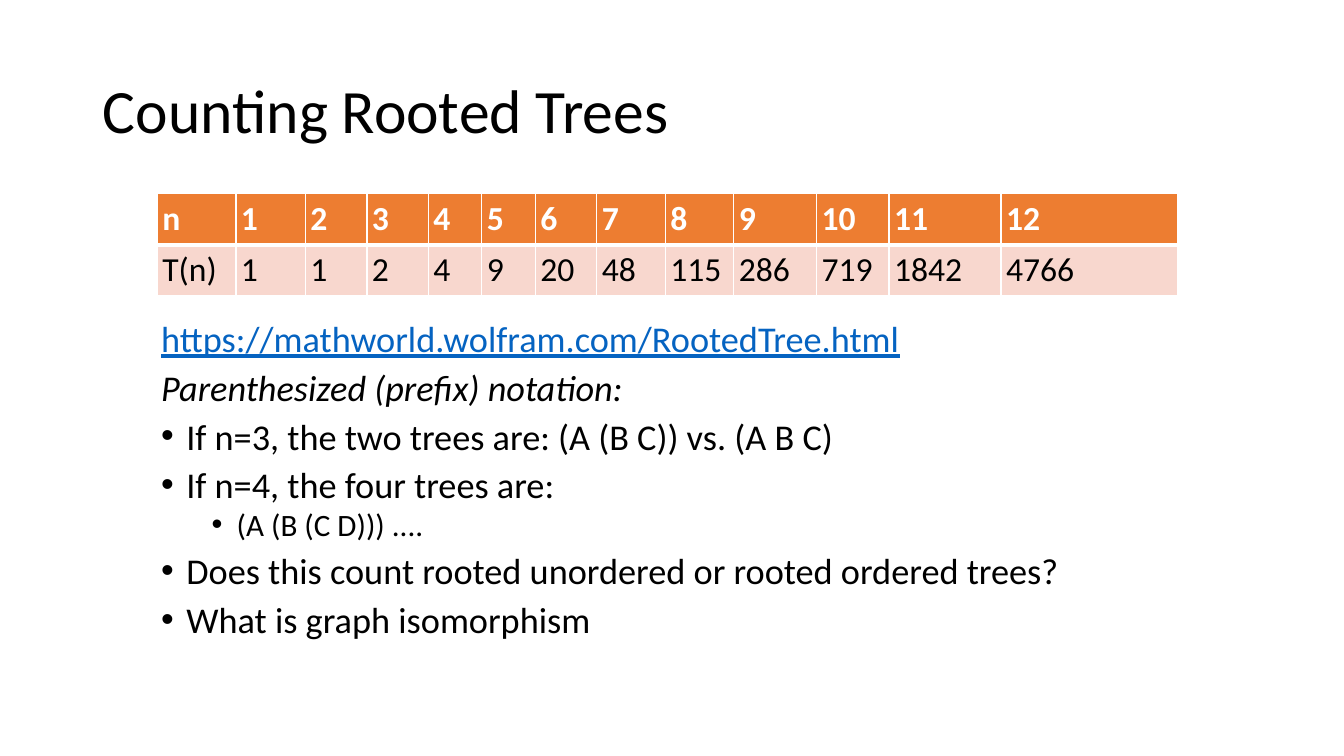
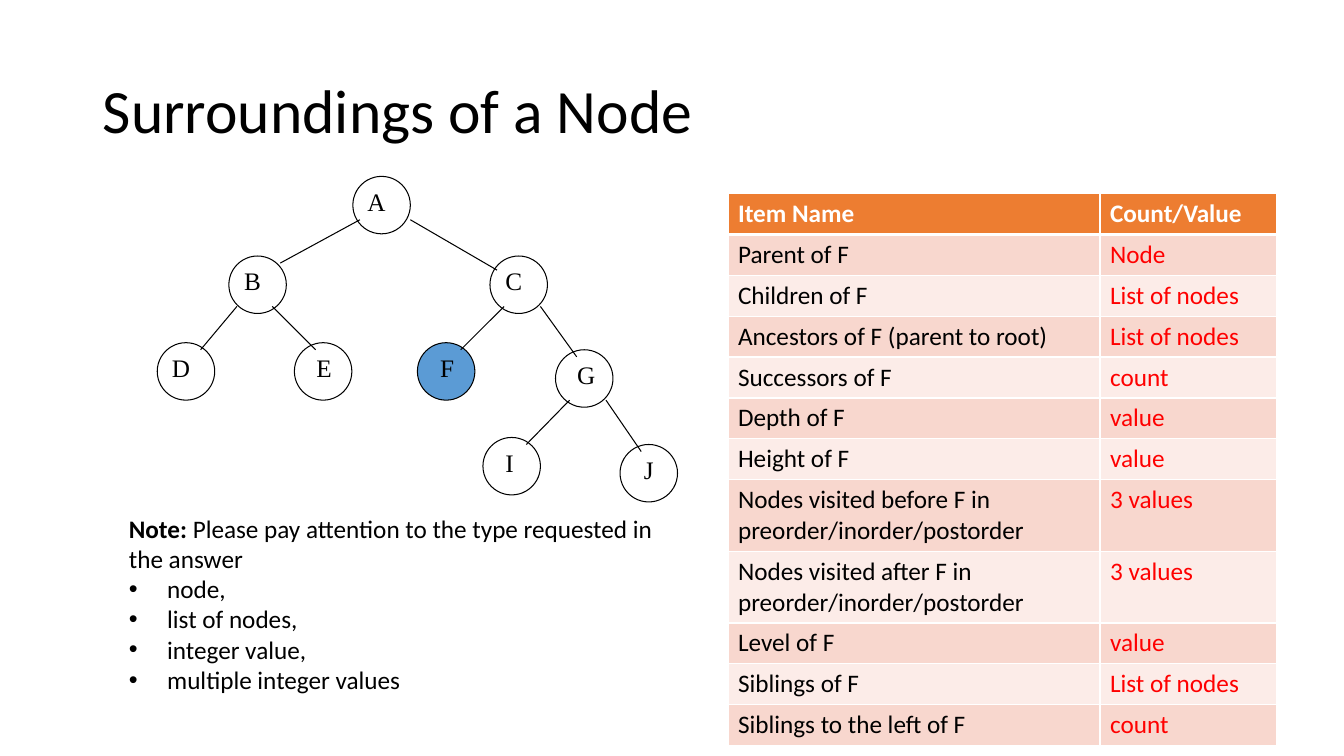
from dataclasses import dataclass
from typing import Any, Sequence

from lxml import etree
from pptx import Presentation
from pptx.dml.color import RGBColor
from pptx.enum.shapes import MSO_CONNECTOR, MSO_SHAPE
from pptx.enum.text import MSO_ANCHOR, MSO_AUTO_SIZE, PP_ALIGN
from pptx.oxml.ns import qn
from pptx.util import Inches, Pt

LEFT, CENTER = PP_ALIGN.LEFT, PP_ALIGN.CENTER
TOP, MIDDLE = MSO_ANCHOR.TOP, MSO_ANCHOR.MIDDLE
NO_AUTOFIT = MSO_AUTO_SIZE.NONE
OVAL, STRAIGHT = MSO_SHAPE.OVAL, MSO_CONNECTOR.STRAIGHT

COLORS = {
    "text": "000000",
    "white": "FFFFFF",
    "header": "ED7D31",
    "band_dark": "F8D7CE",
    "band_light": "FCECE8",
    "answer": "FF0000",
    "address": "0563C1",
    "highlight": "5B9BD5",
}
BODY_FONT, NODE_FONT = "Calibri", "Times New Roman"
TITLE_ONLY = 5
NODE_SIZE = 0.57
LABEL_RISE = 0.04

Point = tuple[float, float]


@dataclass(frozen=True)
class TextRun:
    text: str
    size: float = 18
    color: str = "text"
    bold: bool = False
    italic: bool = False
    underline: bool = False
    font: str = BODY_FONT


@dataclass(frozen=True)
class TextLine:
    runs: tuple[TextRun, ...]
    indent: float = 0
    hanging: float = 0
    level: int = 0
    space_before: float = 0
    line_spacing: float = 1.0


@dataclass(frozen=True)
class TreeNode:
    name: str
    left: float
    top: float
    label_shift: float = 0
    fill: str | None = None


@dataclass(frozen=True)
class TreeEdge:
    """Link between two nodes; start and end are offsets from each node's corner."""
    parent: str
    child: str
    start: Point
    end: Point


LEFT_EXIT, LEFT_ENTRY = (0.14, 0.5), (0.43, 0.07)
RIGHT_EXIT, RIGHT_ENTRY = (0.5, 0.5), (0.21, 0.07)

TREE_NODES = [
    TreeNode("A", 3.5, 1.75, -0.05),
    TreeNode("B", 2.27, 2.54, -0.05),
    TreeNode("C", 4.86, 2.54, -0.05),
    TreeNode("D", 1.56, 3.4, -0.05),
    TreeNode("E", 2.92, 3.4, 0.01),
    TreeNode("F", 4.14, 3.4, 0.01, "highlight"),
    TreeNode("G", 5.51, 3.47, 0.02),
    TreeNode("I", 4.79, 4.34, -0.02),
    TreeNode("J", 6.15, 4.41),
]
TREE_EDGES = [
    TreeEdge("A", "B", (0.07, 0.43), (0.51, 0.07)),
    TreeEdge("A", "C", (0.57, 0.43), (0.07, 0.14)),
    TreeEdge("B", "D", (0.08, 0.5), LEFT_ENTRY),
    TreeEdge("B", "E", (0.43, 0.5), RIGHT_ENTRY),
    TreeEdge("C", "F", LEFT_EXIT, LEFT_ENTRY),
    TreeEdge("C", "G", RIGHT_EXIT, RIGHT_ENTRY),
    TreeEdge("G", "I", LEFT_EXIT, LEFT_ENTRY),
    TreeEdge("G", "J", RIGHT_EXIT, RIGHT_ENTRY),
]

TREE_COUNTS = [
    ["n", *(str(n) for n in range(1, 13))],
    ["T(n)", "1", "1", "2", "4", "9", "20", "48", "115", "286", "719", "1842", "4766"],
]
COUNT_WIDTHS = [0.78, 0.69, 0.61, 0.61, 0.53, 0.53, 0.61, 0.68, 0.68, 0.82, 0.72, 1.11, 1.75]

NODE_ITEMS = [
    ["Item Name", "Count/Value"],
    ["Parent of F", "Node"],
    ["Children of F", "List of nodes"],
    ["Ancestors of F (parent to root)", "List of nodes"],
    ["Successors of F", "count"],
    ["Depth of F", "value"],
    ["Height of F", "value"],
    ["Nodes visited before F in preorder/inorder/postorder", "3 values"],
    ["Nodes visited after F in preorder/inorder/postorder", "3 values"],
    ["Level of F", "value"],
    ["Siblings of F", "List of nodes"],
    ["Siblings to the left of F", "count"],
]


def rgb(color: str) -> RGBColor:
    return RGBColor.from_string(COLORS[color])


def add_run(paragraph: Any, text_run: TextRun) -> None:
    run = paragraph.add_run()
    run.text = text_run.text
    font = run.font
    font.name, font.size = text_run.font, Pt(text_run.size)
    font.bold, font.italic = text_run.bold, text_run.italic
    font.underline = text_run.underline
    font.color.rgb = rgb(text_run.color)


def set_bullet(paragraph: Any, indent: float, hanging: float) -> None:
    properties = paragraph._p.get_or_add_pPr()
    properties.set("marL", str(Inches(indent)))
    properties.set("indent", str(-Inches(hanging)))
    etree.SubElement(properties, qn("a:buFont"), typeface="Arial")
    etree.SubElement(properties, qn("a:buChar"), char="•")


def add_text(slide: Any, left: float, top: float, width: float, height: float,
             lines: Sequence[TextLine]) -> None:
    frame = slide.shapes.add_textbox(
        Inches(left), Inches(top), Inches(width), Inches(height)).text_frame
    frame.word_wrap = True
    frame.vertical_anchor = TOP
    for index, line in enumerate(lines):
        paragraph = frame.add_paragraph() if index else frame.paragraphs[0]
        if line.indent:
            set_bullet(paragraph, line.indent, line.hanging)
        paragraph.level = line.level
        paragraph.line_spacing = line.line_spacing
        paragraph.space_before = Pt(line.space_before)
        for text_run in line.runs:
            add_run(paragraph, text_run)


def add_titled_slide(presentation: Any, title: str) -> Any:
    slide = presentation.slides.add_slide(presentation.slide_layouts[TITLE_ONLY])
    shape = slide.shapes.title
    shape.left, shape.top = Inches(0.92), Inches(0.4)
    shape.width, shape.height = Inches(11.5), Inches(1.45)
    frame = shape.text_frame
    frame.auto_size, frame.vertical_anchor = NO_AUTOFIT, MIDDLE
    paragraph = frame.paragraphs[0]
    paragraph.alignment, paragraph.line_spacing = LEFT, 0.9
    add_run(paragraph, TextRun(title, 44))
    return slide


def set_borders(cell: Any, bottom_width: float) -> None:
    properties = cell._tc.get_or_add_tcPr()
    for side in ("L", "R", "T", "B"):
        width = bottom_width if side == "B" else 1
        line = etree.SubElement(properties, qn(f"a:ln{side}"), w=str(Pt(width)))
        fill = etree.SubElement(line, qn("a:solidFill"))
        etree.SubElement(fill, qn("a:srgbClr"), val=COLORS["white"])


def add_banded_table(slide: Any, left: float, top: float, rows: Sequence[Sequence[str]],
                     widths: Sequence[float], heights: Sequence[float], size: float,
                     column_colors: Sequence[str], margin: float | None = None) -> None:
    table = slide.shapes.add_table(
        len(rows), len(widths), Inches(left), Inches(top),
        Inches(sum(widths)), Inches(sum(heights))).table
    for column, width in zip(table.columns, widths):
        column.width = Inches(width)
    for row, height in zip(table.rows, heights):
        row.height = Inches(height)
    for row_index, values in enumerate(rows):
        is_header = row_index == 0
        band = "header" if is_header else ("band_light", "band_dark")[row_index % 2]
        for column_index, value in enumerate(values):
            cell = table.cell(row_index, column_index)
            set_borders(cell, 3 if is_header else 1)
            cell.fill.solid()
            cell.fill.fore_color.rgb = rgb(band)
            if margin is not None:
                cell.margin_left = cell.margin_right = Inches(margin)
                cell.margin_top = cell.margin_bottom = Inches(margin)
            color = "white" if is_header else column_colors[column_index]
            add_run(cell.text_frame.paragraphs[0],
                    TextRun(value, size, color, bold=is_header))


def add_node(shapes: Any, node: TreeNode) -> None:
    shape = shapes.add_shape(OVAL, Inches(node.left), Inches(node.top),
                             Inches(NODE_SIZE), Inches(NODE_SIZE))
    shape.shadow.inherit = False
    if node.fill:
        shape.fill.solid()
        shape.fill.fore_color.rgb = rgb(node.fill)
    else:
        shape.fill.background()
    shape.line.color.rgb = rgb("text")
    shape.line.width = Pt(0.75)
    frame = shape.text_frame
    frame.word_wrap, frame.vertical_anchor = False, MIDDLE
    frame.margin_left = Inches(max(2 * node.label_shift, 0))
    frame.margin_right = Inches(max(-2 * node.label_shift, 0))
    frame.margin_top, frame.margin_bottom = 0, Inches(2 * LABEL_RISE)
    paragraph = frame.paragraphs[0]
    paragraph.alignment = CENTER
    add_run(paragraph, TextRun(node.name, font=NODE_FONT))


def add_edge(shapes: Any, parent: TreeNode, child: TreeNode, edge: TreeEdge) -> None:
    connector = shapes.add_connector(
        STRAIGHT,
        Inches(parent.left + edge.start[0]), Inches(parent.top + edge.start[1]),
        Inches(child.left + edge.end[0]), Inches(child.top + edge.end[1]))
    connector.line.color.rgb = rgb("text")
    connector.line.width = Pt(0.75)
    etree.SubElement(connector._element.spPr, qn("a:effectLst"))


def add_tree(slide: Any) -> None:
    shapes = slide.shapes.add_group_shape().shapes
    nodes = {node.name: node for node in TREE_NODES}
    for node in TREE_NODES:
        add_node(shapes, node)
    for edge in TREE_EDGES:
        add_edge(shapes, nodes[edge.parent], nodes[edge.child], edge)


def counting_line(text: str, level: int | None = 0, **style: Any) -> TextLine:
    """Line of the counting text; a level of None gives a line without a bullet."""
    depth = level or 0
    run = TextRun(text, 22.2 if depth else 25.9, **style)
    indent = 0 if level is None else 0.25 + 0.5 * depth
    return TextLine((run,), indent, 0.25, depth, 5 if depth else 10, 0.8)


def build_counting_slide(presentation: Any) -> None:
    slide = add_titled_slide(presentation, "Counting Rooted Trees")
    add_banded_table(slide, 1.56, 1.92, TREE_COUNTS, COUNT_WIDTHS, [0.5, 0.5], 24,
                     ["text"] * len(COUNT_WIDTHS), margin=0.05)
    address = TextRun("https://mathworld.wolfram.com/RootedTree.html", 25.9, "address",
                      underline=True)
    add_text(slide, 1.5, 3.17, 11.17, 3.25, [
        TextLine((address,), line_spacing=0.8),
        counting_line("Parenthesized (prefix) notation:", None, italic=True),
        counting_line("If n=3, the two trees are: (A (B C)) vs. (A B C)"),
        counting_line("If n=4, the four trees are:"),
        counting_line("(A (B (C D))) ....", 1),
        counting_line("Does this count rooted unordered or rooted ordered trees?"),
        counting_line("What is graph isomorphism"),
    ])


def build_surroundings_slide(presentation: Any) -> None:
    slide = add_titled_slide(presentation, "Surroundings of a Node")
    heights = [0.66 if row[0].startswith("Nodes visited") else 0.38 for row in NODE_ITEMS]
    add_banded_table(slide, 7.22, 1.92, NODE_ITEMS, [3.69, 1.75], heights, 18,
                     ["text", "answer"])
    add_tree(slide)
    note = TextLine((
        TextRun("Note: ", bold=True),
        TextRun("Please pay attention to the type requested in the answer"),
    ))
    answer_types = ["node,", "list of nodes,", "integer value,", "multiple integer values"]
    add_text(slide, 1.18, 5.04, 5.43, 1.92, [
        note, *(TextLine((TextRun(text),), 0.38, 0.38) for text in answer_types)])


def main() -> None:
    presentation = Presentation()
    presentation.slide_width, presentation.slide_height = Inches(13.33), Inches(7.5)
    build_counting_slide(presentation)
    build_surroundings_slide(presentation)
    presentation.save("out.pptx")


if __name__ == "__main__":
    main()
